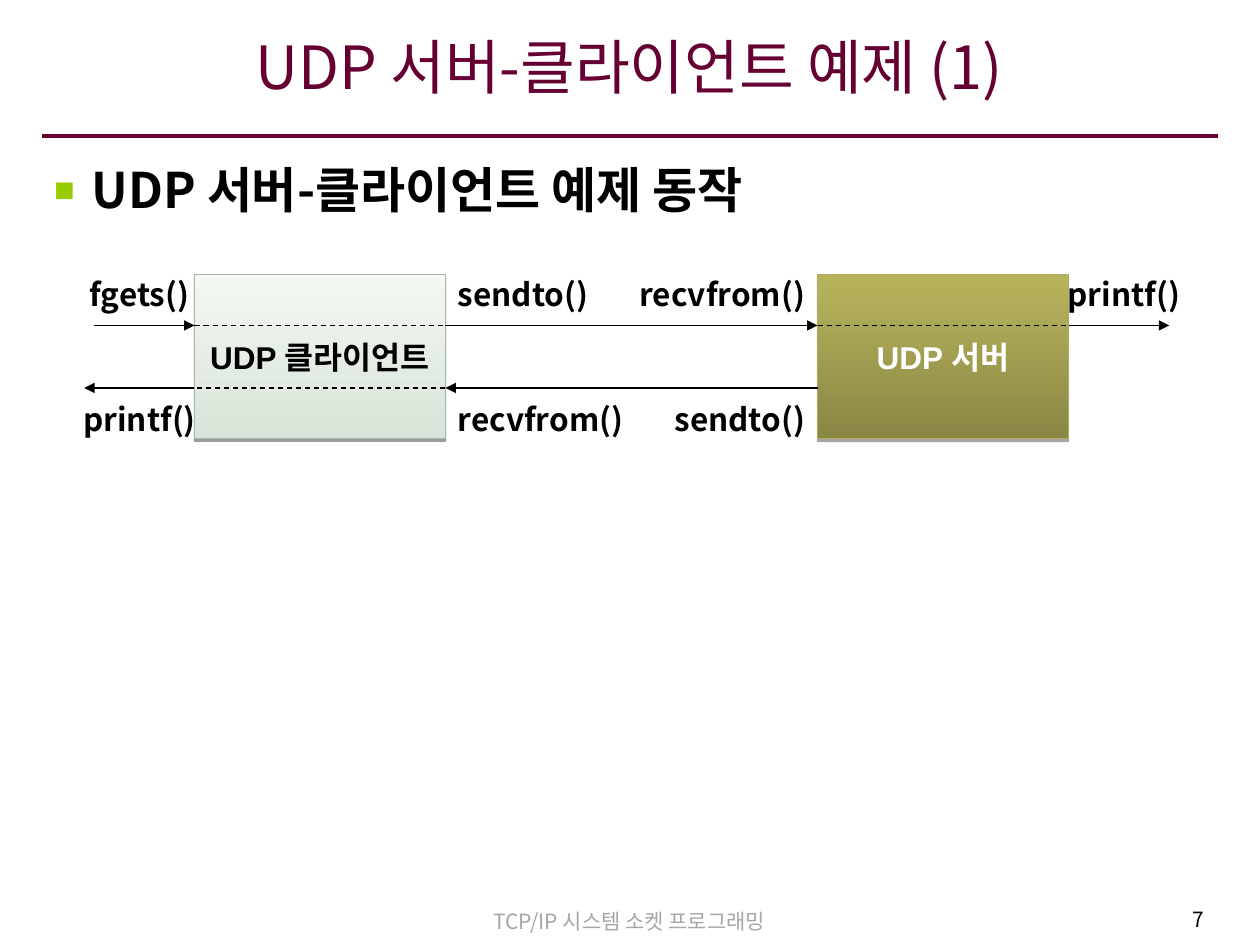
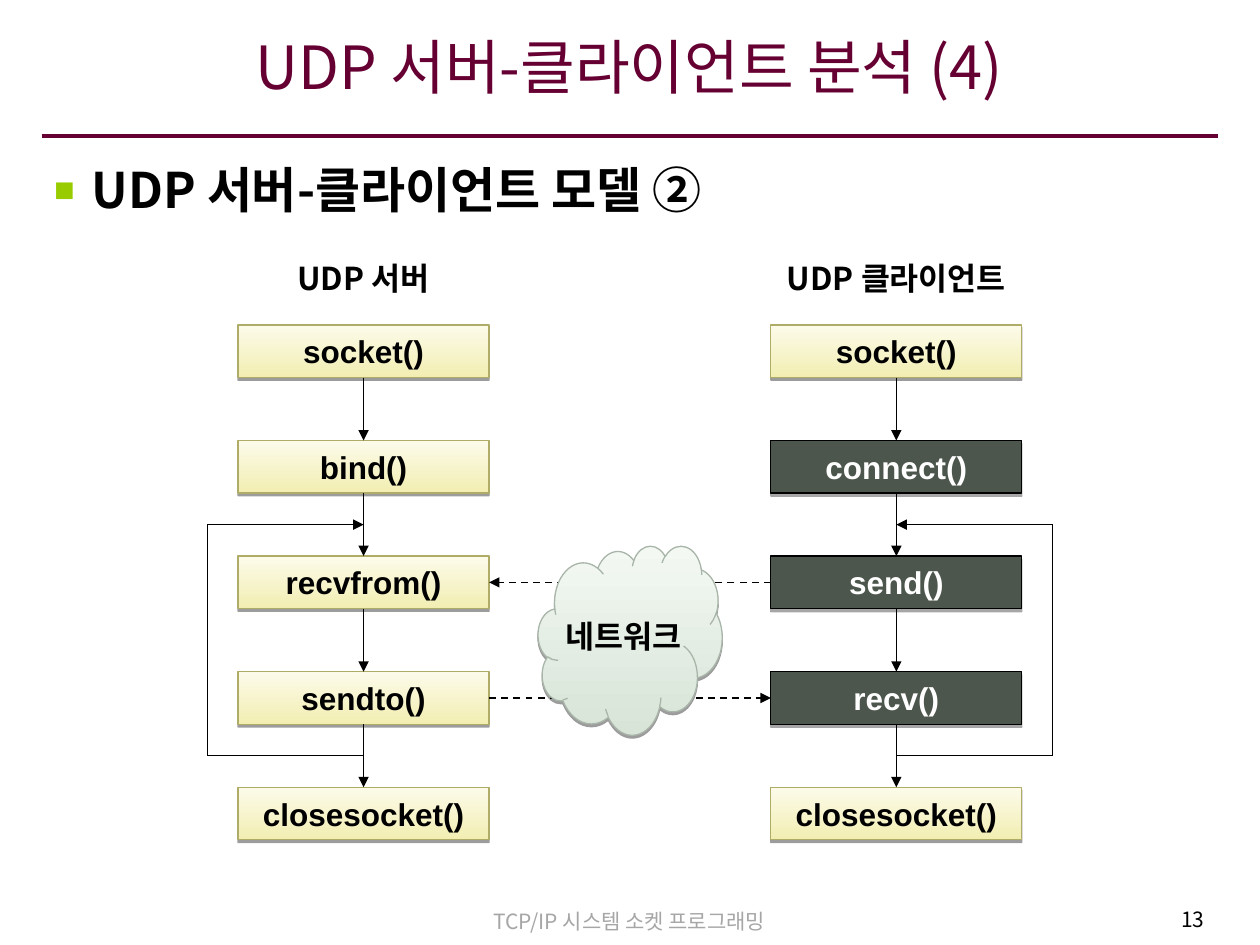
from lxml import etree
from pptx import Presentation
from pptx.dml.color import RGBColor
from pptx.enum.dml import MSO_LINE
from pptx.enum.shapes import MSO_CONNECTOR, MSO_SHAPE
from pptx.enum.text import MSO_ANCHOR, PP_ALIGN
from pptx.oxml.ns import qn
from pptx.util import Cm, Pt

RECTANGLE, CLOUD = MSO_SHAPE.RECTANGLE, MSO_SHAPE.CLOUD
STRAIGHT, DASH = MSO_CONNECTOR.STRAIGHT, MSO_LINE.DASH
LEFT, CENTER, RIGHT = PP_ALIGN.LEFT, PP_ALIGN.CENTER, PP_ALIGN.RIGHT
TOP, MIDDLE = MSO_ANCHOR.TOP, MSO_ANCHOR.MIDDLE
TOP_SIDE, LEFT_SIDE, BOTTOM_SIDE, RIGHT_SIDE = range(4)

BLACK = RGBColor(0x00, 0x00, 0x00)
WHITE = RGBColor(0xFF, 0xFF, 0xFF)
WINE = RGBColor(0x66, 0x00, 0x33)
GRAY = RGBColor(0xA6, 0xA6, 0xA6)
MINT, MINT_LIGHT = RGBColor(0xD7, 0xE4, 0xD7), RGBColor(0xF3, 0xF8, 0xF3)
MINT_EDGE = RGBColor(0xA9, 0xB5, 0xA9)
OLIVE, OLIVE_LIGHT = RGBColor(0x8A, 0x87, 0x45), RGBColor(0xB8, 0xB4, 0x5C)
OLIVE_EDGE = RGBColor(0xAF, 0xAC, 0x67)
CREAM, CREAM_LIGHT = RGBColor(0xF2, 0xEE, 0xB2), RGBColor(0xFC, 0xFB, 0xEA)
SLATE = RGBColor(0x4C, 0x56, 0x4C)
BULLET_GREEN = RGBColor(0x99, 0xCC, 0x00)

KOREAN, LATIN = "Noto Sans CJK KR", "Arial"

TITLE = {"name": KOREAN, "size": Pt(34), "bold": False}
HEADING = {"name": KOREAN, "size": Pt(28), "bold": True}
LABEL = {"name": KOREAN, "size": Pt(18), "bold": True}
BLOCK = {"name": LATIN, "size": Pt(18), "bold": True}
FOOTER = {"name": KOREAN, "size": Pt(12), "bold": False}

SOFT = {"opacity": 38, "distance": Pt(1.6)}
STRONG = {"opacity": 35, "distance": Pt(1.8)}
MINT_LOOK = {"fill": (MINT, MINT_LIGHT), "edge": MINT_EDGE, "text": BLACK, "shadow": SOFT}
OLIVE_LOOK = {"fill": (OLIVE, OLIVE_LIGHT), "edge": OLIVE_EDGE, "text": WHITE, "shadow": STRONG}
CREAM_LOOK = {"fill": (CREAM, CREAM_LIGHT), "edge": OLIVE_EDGE, "text": BLACK, "shadow": SOFT}
SLATE_LOOK = {"fill": (SLATE,), "edge": BLACK, "text": WHITE, "shadow": STRONG}


def add_box(page, words, place, font, color=BLACK, align=CENTER, look=None,
            preset=RECTANGLE, **frame_format):
    """Add one-line text on a shape, clear unless a look is given; place is in cm."""
    box = page.shapes.add_shape(preset, *[Cm(length) for length in place])
    box.shadow.inherit = False
    if look:
        color = look["text"]
        if len(look["fill"]) == 1:
            box.fill.solid()
            box.fill.fore_color.rgb = look["fill"][0]
        else:
            box.fill.gradient()
            box.fill.gradient_angle = 90
            for stop, stop_color in zip(box.fill.gradient_stops, look["fill"]):
                stop.color.rgb = stop_color
        box.line.color.rgb = look["edge"]
        box.line.width = Pt(0.75)
        effects = box._element.spPr.find(qn("a:effectLst"))
        shadow = etree.SubElement(effects, qn("a:outerShdw"), blurRad="0", dir="5400000",
                                  dist=str(look["shadow"]["distance"]), rotWithShape="0")
        shade = etree.SubElement(shadow, qn("a:srgbClr"), val=str(BLACK))
        etree.SubElement(shade, qn("a:alpha"), val=str(look["shadow"]["opacity"] * 1000))
    else:
        box.fill.background()
        box.line.fill.background()
    frame = box.text_frame
    for name, value in ({"word_wrap": False, "vertical_anchor": MIDDLE} | frame_format).items():
        setattr(frame, name, value)
    para = frame.paragraphs[0]
    para.alignment = align
    span = para.add_run()
    span.text = words
    for name, value in font.items():
        setattr(span.font, name, value)
    span.font.color.rgb = color
    etree.SubElement(span._r.get_or_add_rPr(), qn("a:ea"), typeface=KOREAN)
    return box


def add_line(page, start, end, color=BLACK, width=0.75, dashed=False, arrow=True):
    """Each end is an (x, y) point in cm or a (shape, side) pair to join."""
    line = page.shapes.add_connector(STRAIGHT, 0, 0, 0, 0)
    if isinstance(start[0], (int, float)):
        line.begin_x, line.begin_y = Cm(start[0]), Cm(start[1])
    else:
        line.begin_connect(*start)
    if isinstance(end[0], (int, float)):
        line.end_x, line.end_y = Cm(end[0]), Cm(end[1])
    else:
        line.end_connect(*end)
    line.line.color.rgb = color
    line.line.width = Pt(width)
    if dashed:
        line.line.dash_style = DASH
    properties = line._element.spPr
    if arrow:
        etree.SubElement(properties.find(qn("a:ln")), qn("a:tailEnd"), type="triangle")
    etree.SubElement(properties, qn("a:effectLst"))


deck = Presentation()
deck.slide_width, deck.slide_height = Cm(25.4), Cm(19.05)

# Title, rule, heading and footer of every page
pages = []
for title, heading, number in [
    ("UDP 서버-클라이언트 예제 (1)", "UDP 서버-클라이언트 예제 동작", "7"),
    ("UDP 서버-클라이언트 분석 (4)", "UDP 서버-클라이언트 모델 ②", "13"),
]:
    page = deck.slides.add_slide(deck.slide_layouts[6])
    pages.append(page)
    add_line(page, (0.84, 2.74), (24.56, 2.74), WINE, 2.25, arrow=False)
    add_box(page, "TCP/IP 시스템 소켓 프로그래밍", (7.29, 18.19, 10.8, 0.76), FOOTER, GRAY,
            word_wrap=True, vertical_anchor=TOP)
    add_box(page, number, (19.15, 18.16, 5.38, 0.84), FOOTER, align=RIGHT,
            word_wrap=True, vertical_anchor=TOP)
    add_box(page, title, (0.84, 0.38, 23.7, 2.16), TITLE, WINE, word_wrap=True,
            margin_left=Cm(0.2), margin_right=Cm(0.2), margin_bottom=Cm(0.41))
    body = add_box(page, heading, (0.84, 3.1, 23.7, 14.88), HEADING, align=LEFT,
                   word_wrap=True, vertical_anchor=TOP)
    para = body.text_frame.paragraphs[0]
    para.space_before = Pt(7)
    bullet = para._p.get_or_add_pPr()
    bullet.set("marL", str(Cm(0.76)))
    bullet.set("indent", str(-Cm(0.76)))
    bullet_color = etree.SubElement(bullet, qn("a:buClr"))
    etree.SubElement(bullet_color, qn("a:srgbClr"), val=str(BULLET_GREEN))
    etree.SubElement(bullet, qn("a:buSzPct"), val="70000")
    etree.SubElement(bullet, qn("a:buFont"), typeface=LATIN)
    etree.SubElement(bullet, qn("a:buChar"), char="■")

example_page, model_page = pages

# Example: data passes from the client to the server and back
block_width = 5.06
client_left, server_left = 3.92, 16.48
client_right, server_right = client_left + block_width, server_left + block_width
request_y, reply_y = 6.56, 7.82

for words, left, look in [("UDP 클라이언트", client_left, MINT_LOOK),
                          ("UDP 서버", server_left, OLIVE_LOOK)]:
    add_box(example_page, words, (left, 5.54, block_width, 3.3), BLOCK, look=look)

for start_x, end_x, y, dashed in [
    (1.9, client_left, request_y, False),
    (client_left, client_right, request_y, True),
    (client_right, server_left, request_y, False),
    (server_left, server_right, request_y, True),
    (server_right, 23.57, request_y, False),
    (server_left, client_right, reply_y, False),
    (client_right, client_left, reply_y, True),
    (client_left, 1.7, reply_y, False),
]:
    add_line(example_page, (start_x, y), (end_x, y), dashed=dashed, arrow=not dashed)

label_height = 1.27
request_top = request_y - label_height
for words, left, top, width, align in [
    ("fgets()", 1.9, request_top, 1.83, CENTER),
    ("sendto()", client_right, request_top, 2.24, LEFT),
    ("recvfrom()", 13.23, request_top, 3.25, RIGHT),
    ("printf()", 21.74, request_top, 1.83, CENTER),
    ("printf()", 1.9, reply_y, 1.83, CENTER),
    ("recvfrom()", client_right, reply_y, 2.44, LEFT),
    ("sendto()", 13.23, reply_y, 3.25, RIGHT),
]:
    add_box(example_page, words, (left, top, width, label_height), LABEL, align=align)

# Model: two call sequences joined by the network
call_top, call_step, call_height = 6.55, 2.33, 1.06
half_gap = (call_step - call_height) / 2
loop_start_y = call_top + 4 * call_step - half_gap
loop_end_y = call_top + 2 * call_step - half_gap

columns = []
for heading, left, loop_offset, calls, dark_calls in [
    ("UDP 서버", 4.8, -3.15,
     ["socket()", "bind()", "recvfrom()", "sendto()", "closesocket()"], []),
    ("UDP 클라이언트", 15.54, 3.15,
     ["socket()", "connect()", "send()", "recv()", "closesocket()"],
     ["connect()", "send()", "recv()"]),
]:
    add_box(model_page, heading, (left, 5.08, block_width, call_height), LABEL)
    blocks = [
        add_box(model_page, call, (left, call_top + row * call_step, block_width, call_height),
                BLOCK, look=SLATE_LOOK if call in dark_calls else CREAM_LOOK)
        for row, call in enumerate(calls)
    ]
    columns.append(blocks)
    for upper, lower in zip(blocks, blocks[1:]):
        add_line(model_page, (upper, BOTTOM_SIDE), (lower, TOP_SIDE))
    middle_x = left + block_width / 2
    loop_x = middle_x + loop_offset
    add_line(model_page, (middle_x, loop_start_y), (loop_x, loop_start_y), arrow=False)
    add_line(model_page, (loop_x, loop_start_y), (loop_x, loop_end_y), arrow=False)
    add_line(model_page, (loop_x, loop_end_y), (middle_x, loop_end_y))

server, client = columns
add_line(model_page, (client[2], LEFT_SIDE), (server[2], RIGHT_SIDE), width=1, dashed=True)
add_line(model_page, (server[3], RIGHT_SIDE), (client[3], LEFT_SIDE), width=1, dashed=True)
add_box(model_page, "네트워크", (10.85, 11, 3.71, 3.81), BLOCK, look=MINT_LOOK, preset=CLOUD)

deck.save("out.pptx")
